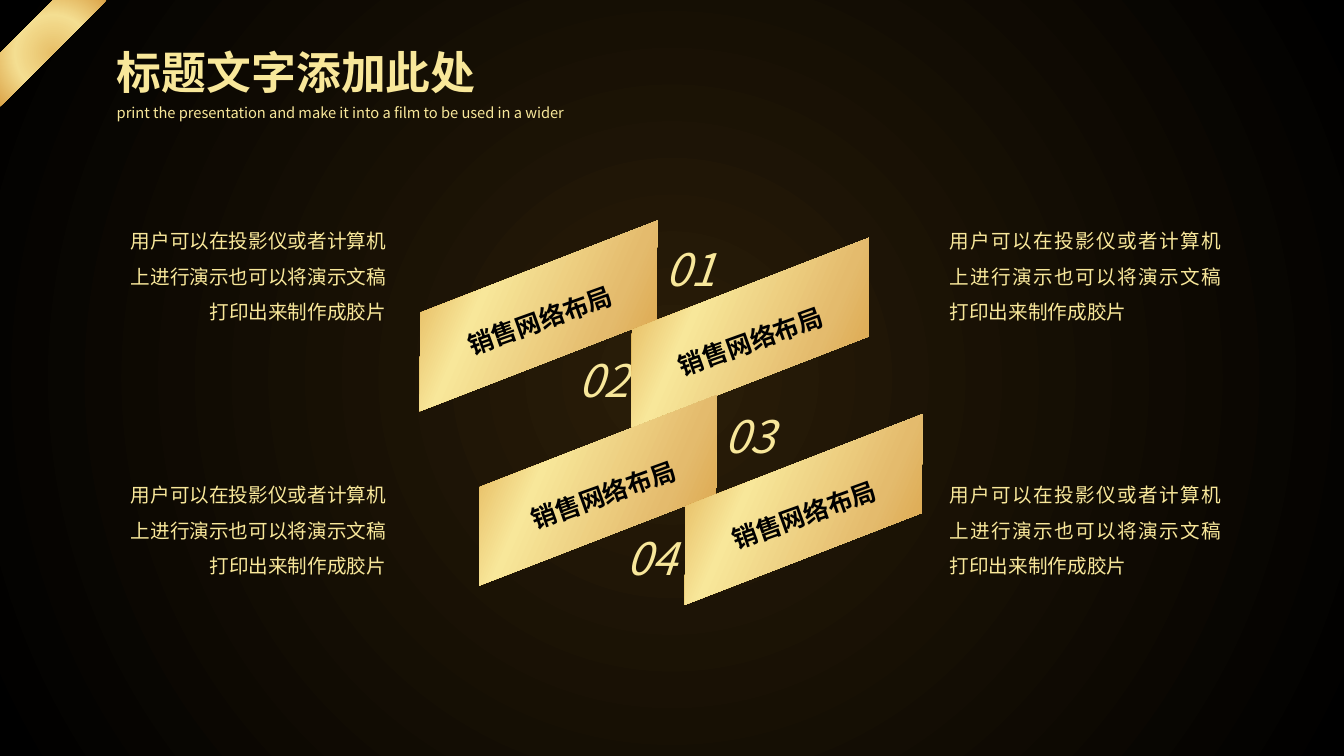
from dataclasses import dataclass

from lxml import etree
from pptx import Presentation
from pptx.dml.color import RGBColor
from pptx.enum import shapes, text
from pptx.oxml import ns
from pptx.util import Inches, Pt

FONT = "Noto Sans CJK SC"
GOLD = RGBColor(0xF8, 0xE7, 0x9A)
BLACK = RGBColor(0, 0, 0)
GOLD_STOPS = (
    (0, RGBColor(0xD5, 0x94, 0x30)),
    (33, GOLD),
    (69, RGBColor(0xE4, 0xBB, 0x6D)),
    (100, RGBColor(0xD5, 0x94, 0x30)),
)
RIBBON_STOPS = (
    (0, RGBColor(0xE7, 0xBF, 0x68)),
    (51, RGBColor(0xF4, 0xDE, 0x91)),
    (100, RGBColor(0xDB, 0xA3, 0x47)),
)
BACKDROP_STOPS = ((0, RGBColor(0x2A, 0x1D, 0x08)), (100, BLACK))

BANNER_LABEL = "销售网络布局"
DESCRIPTION = "用户可以在投影仪或者计算机上进行演示也可以将演示文稿打印出来制作成胶片"
BANNER_WIDTH, BANNER_HEIGHT, BANNER_SLANT = 2.88, 0.91, 0.36
BANNER_ANGLE, LABEL_ANGLE = 338.8, 340.2

Position = tuple[float, float]
Box = tuple[float, float, float, float]


@dataclass(frozen=True)
class Banner:
    number: str
    number_at: Position
    banner_at: Position
    label_at: Position


@dataclass(frozen=True)
class TextStyle:
    size: float
    align: text.PP_ALIGN = text.PP_ALIGN.LEFT
    spacing: float = 1.0
    color: RGBColor = GOLD
    bold: bool = False
    italic: bool = False


BANNERS = (
    Banner("01", (6.58, 2.53), (3.9, 2.68), (4.22, 2.92)),
    Banner("02", (5.72, 3.64), (6.0, 2.85), (6.31, 3.13)),
    Banner("03", (7.17, 4.19), (4.49, 4.41), (4.85, 4.65)),
    Banner("04", (6.2, 5.4), (6.53, 4.6), (6.84, 4.85)),
)
DESCRIPTION_COLUMNS = ((9.32, text.PP_ALIGN.JUSTIFY), (1.04, text.PP_ALIGN.RIGHT))
DESCRIPTION_TOPS = (2.11, 4.63)

TITLE = TextStyle(32, bold=True)
SUBTITLE = TextStyle(10.5, spacing=1.2)
NUMBER = TextStyle(32, text.PP_ALIGN.CENTER, 0.8, italic=True)
LABEL = TextStyle(18, text.PP_ALIGN.CENTER, 1.2, BLACK, bold=True)


def apply_gradient(owner, stops, angle: int | None = None) -> None:
    """Replace the first solid fill in owner; without an angle it is circular."""
    gradient = etree.Element(ns.qn("a:gradFill"), rotWithShape="1")
    stop_list = etree.SubElement(gradient, ns.qn("a:gsLst"))
    for percent, color in stops:
        stop = etree.SubElement(stop_list, ns.qn("a:gs"), pos=str(percent * 1000))
        etree.SubElement(stop, ns.qn("a:srgbClr"), val=str(color))
    if angle is None:
        circle = etree.SubElement(gradient, ns.qn("a:path"), path="circle")
        center = dict.fromkeys("ltrb", "50000")
        etree.SubElement(circle, ns.qn("a:fillToRect"), center)
    else:
        etree.SubElement(gradient, ns.qn("a:lin"), ang=str(angle * 60000), scaled="0")
    solid = owner.find(".//" + ns.qn("a:solidFill"))
    solid.getparent().replace(solid, gradient)


def finish_shape(shape, stops, angle: int | None = None) -> None:
    shape.shadow.inherit = False
    shape.line.fill.background()
    shape.fill.solid()
    shape.fill.fore_color.rgb = GOLD
    apply_gradient(shape.element, stops, angle)


def write_text(shape, wording: str, style: TextStyle) -> None:
    frame = shape.text_frame
    frame.text = wording
    frame.word_wrap = True
    frame.auto_size = text.MSO_AUTO_SIZE.NONE
    paragraph = frame.paragraphs[0]
    paragraph.alignment = style.align
    paragraph.line_spacing = style.spacing
    font = paragraph.runs[0].font
    font.size = Pt(style.size)
    font.bold, font.italic = style.bold, style.italic
    font.color.rgb = style.color
    font.name = FONT
    run_properties = paragraph.runs[0]._r.get_or_add_rPr()
    etree.SubElement(run_properties, ns.qn("a:ea"), typeface=FONT)


def add_text(slide, box: Box, wording: str, style: TextStyle):
    text_box = slide.shapes.add_textbox(*map(Inches, box))
    write_text(text_box, wording, style)
    return text_box


def add_number(slide, banner: Banner) -> None:
    frame = add_text(slide, (*banner.number_at, 0.53, 0.36), banner.number, NUMBER).text_frame
    frame.margin_left = frame.margin_right = frame.margin_top = frame.margin_bottom = 0
    frame.vertical_anchor = text.MSO_ANCHOR.MIDDLE
    frame.word_wrap = False


def add_banner(slide, banner: Banner) -> None:
    left, top = banner.banner_at
    right, bottom = left + BANNER_WIDTH, top + BANNER_HEIGHT
    corners = [(right, top), (right - BANNER_SLANT, bottom), (left, bottom)]
    builder = slide.shapes.build_freeform(Inches(left + BANNER_SLANT), Inches(top))
    builder.add_line_segments([(Inches(x), Inches(y)) for x, y in corners], close=True)
    parallelogram = builder.convert_to_shape()
    parallelogram.rotation = BANNER_ANGLE
    finish_shape(parallelogram, GOLD_STOPS, 45)


def add_heading(slide) -> None:
    title = slide.shapes.title
    title.left, title.top = Inches(1.06), Inches(0.39)
    title.width, title.height = Inches(4.18), Inches(0.64)
    write_text(title, "标题文字添加此处", TITLE)
    add_text(
        slide,
        (1.06, 0.95, 5.2, 0.3),
        "print the presentation and make it into a film to be used in a wider",
        SUBTITLE,
    )


def main() -> None:
    deck = Presentation()
    deck.slide_width, deck.slide_height = Inches(13.33), Inches(7.5)
    slide = deck.slides.add_slide(deck.slide_layouts[5])
    slide.background.fill.solid()
    slide.background.fill.fore_color.rgb = BLACK
    apply_gradient(slide.element, BACKDROP_STOPS)

    for banner in BANNERS:
        add_number(slide, banner)
    for banner in BANNERS:
        add_banner(slide, banner)
    for banner in BANNERS:
        label = add_text(slide, (*banner.label_at, 2.24, 0.43), BANNER_LABEL, LABEL)
        label.rotation = LABEL_ANGLE

    for left, align in DESCRIPTION_COLUMNS:
        for top in DESCRIPTION_TOPS:
            add_text(slide, (left, top, 2.89, 1.16), DESCRIPTION, TextStyle(14, align, 1.5))

    ribbon = slide.shapes.add_shape(
        shapes.MSO_SHAPE.DIAGONAL_STRIPE, 0, 0, Inches(1.06), Inches(1.06)
    )
    finish_shape(ribbon, RIBBON_STOPS)
    add_heading(slide)
    deck.save("out.pptx")


if __name__ == "__main__":
    main()
